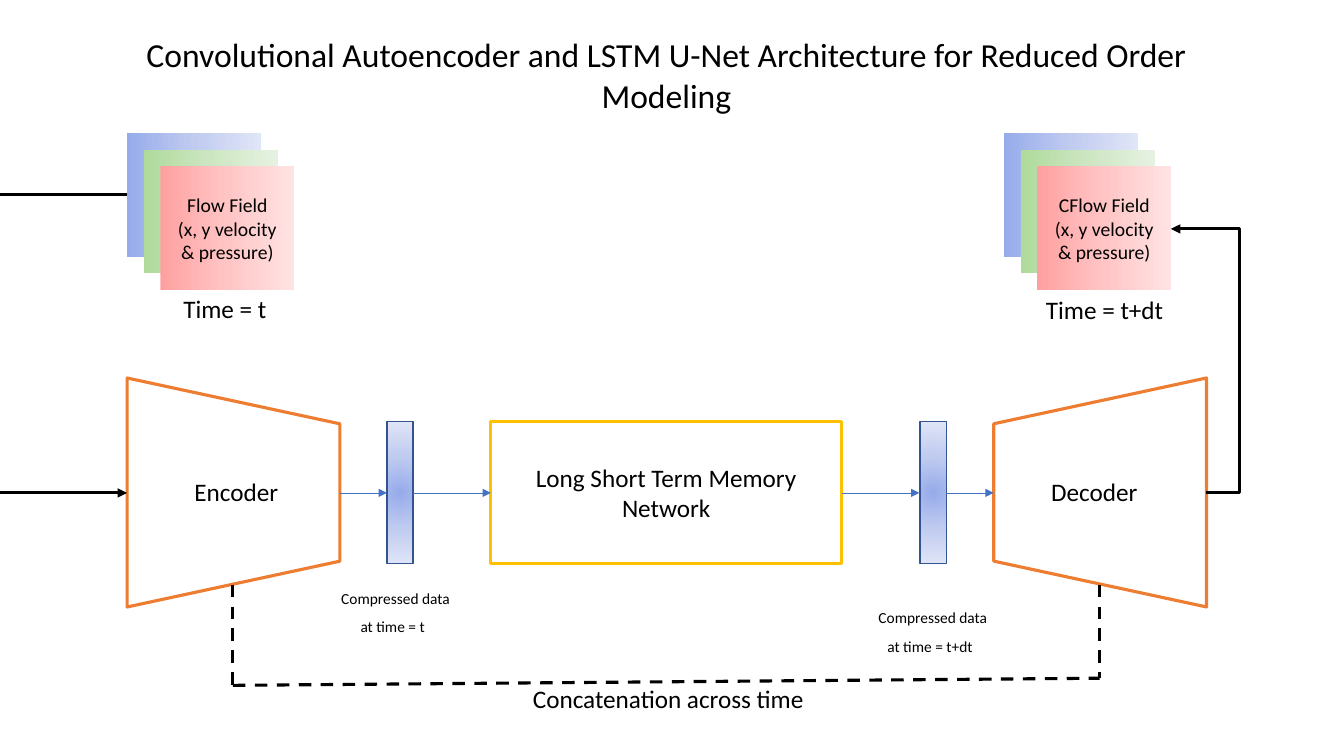
from lxml import etree
from pptx import Presentation, util as u
from pptx.dml.color import RGBColor
from pptx.enum import dml, shapes, text
from pptx.oxml import parse_xml
from pptx.oxml.ns import nsdecls, qn

COLORS = {"black": "000000", "white": "FFFFFF", "orange": "ED7D31",
          "gold": "FFC000", "blue": "4472C4", "navy": "325491"}
GRADIENTS = {"blue": ("96ABEA", "C0CBF0", "E0E5F7"),
             "green": ("AEDA9B", "CDE6C2", "E6F2E1"),
             "red": ("FFA0A0", "FFC5C5", "FFE3E3")}
FONT = "Calibri"
FLOW_Y = 12.42
MIDDLE = text.MSO_ANCHOR.MIDDLE


def rgb(name):
    return RGBColor.from_string(COLORS[name])


def put_text(sp, paragraphs, size=18, align=text.PP_ALIGN.CENTER,
             anchor=text.MSO_ANCHOR.TOP, end_size=None):
    """Fill a shape with text; end_size sets the height of the last line by a closing space."""
    tf = sp.text_frame
    tf.word_wrap = True
    tf.vertical_anchor = anchor
    for i, content in enumerate(paragraphs):
        p = tf.paragraphs[0] if i == 0 else tf.add_paragraph()
        p.alignment = align
        runs = [(content, size)]
        if end_size:
            runs.append((" ", end_size))
        for run_text, run_size in runs:
            r = p.add_run()
            r.text = run_text
            r.font.name = FONT
            r.font.size = u.Pt(run_size)
            r.font.color.rgb = rgb("black")


def add_label(slide, x, y, w, h, content, **fmt):
    sp = slide.shapes.add_textbox(u.Cm(x), u.Cm(y), u.Cm(w), u.Cm(h))
    put_text(sp, [content], **fmt)


def add_box(slide, x, y, w, h, kind=shapes.MSO_SHAPE.RECTANGLE, line=None, weight=2.25):
    sp = slide.shapes.add_shape(kind, u.Cm(x), u.Cm(y), u.Cm(w), u.Cm(h))
    sp.shadow.inherit = False
    sp.fill.solid()
    sp.fill.fore_color.rgb = rgb("white")
    if line:
        sp.line.color.rgb = rgb(line)
        sp.line.width = u.Pt(weight)
    else:
        sp.line.fill.background()
    return sp


def set_gradient(sp, name, radial=False):
    stops = "".join(f'<a:gs pos="{pos}"><a:srgbClr val="{color}"/></a:gs>'
                    for pos, color in zip((0, 50000, 100000), GRADIENTS[name]))
    if radial:
        direction = ('<a:path path="circle"><a:fillToRect l="50000" t="50000" '
                     'r="50000" b="50000"/></a:path>')
    else:
        direction = '<a:lin ang="0" scaled="1"/>'
    grad = parse_xml(f'<a:gradFill {nsdecls("a")} rotWithShape="1">'
                     f'<a:gsLst>{stops}</a:gsLst>{direction}</a:gradFill>')
    solid = sp._element.spPr.find(qn("a:solidFill"))
    solid.getparent().replace(solid, grad)


def add_line(slide, x1, y1, x2, y2, color="black", weight=2.25, arrow=False,
             dashed=False, bend=None):
    """Join two points; bend places the elbow as a share of the horizontal run."""
    kind = shapes.MSO_CONNECTOR.STRAIGHT if bend is None else shapes.MSO_CONNECTOR.ELBOW
    line = slide.shapes.add_connector(kind, u.Cm(x1), u.Cm(y1), u.Cm(x2), u.Cm(y2))
    line.line.color.rgb = rgb(color)
    line.line.width = u.Pt(weight)
    if dashed:
        line.line.dash_style = dml.MSO_LINE.DASH
    props = line._element.spPr
    if arrow:
        etree.SubElement(props.find(qn("a:ln")), qn("a:tailEnd"), type="triangle")
    if bend is not None:
        guides = props.find(qn("a:prstGeom")).find(qn("a:avLst"))
        etree.SubElement(guides, qn("a:gd"), name="adj1", fmla=f"val {round(bend * 100000)}")
    etree.SubElement(props, qn("a:effectLst"))


def add_flow_field(slide, x, title):
    step = 0.42
    for i, name in enumerate(("blue", "green", "red")):
        sheet = add_box(slide, x + i * step, 3.35 + i * step, 3.38, 3.12)
        set_gradient(sheet, name)
    put_text(sheet, [title, "(x, y velocity & pressure)"], size=14, anchor=MIDDLE)


def add_coder(slide, x, rotation, label_x, label):
    sp = add_box(slide, x, 9.73, 5.77, 5.36,
                 kind=shapes.MSO_SHAPE.FLOWCHART_MANUAL_OPERATION, line="orange")
    sp.rotation = rotation
    add_label(slide, label_x, 11.89, 2.97, 1.02, label, align=text.PP_ALIGN.LEFT)


def add_compressed(slide, x, label_x, label_y, label):
    bar = add_box(slide, x, 10.62, 0.66, 3.58, line="navy", weight=1)
    set_gradient(bar, "blue", radial=True)
    add_label(slide, label_x, label_y, 3.48, 1.5, label, size=11, end_size=18)


def main():
    prs = Presentation()
    prs.slide_width, prs.slide_height = u.Cm(33.87), u.Cm(19.05)
    slide = prs.slides.add_slide(prs.slide_layouts[6])

    add_label(slide, 3.28, 0.74, 27.03, 2.31,
              "Convolutional Autoencoder and LSTM U-Net Architecture "
              "for Reduced Order Modeling", size=24)

    lstm = add_box(slide, 12.37, 10.62, 8.84, 3.58, line="gold")
    put_text(lstm, ["Long Short Term Memory Network"], anchor=MIDDLE)
    add_coder(slide, 3, 270, 4.65, "Encoder")
    add_coder(slide, 24.84, 90, 26.24, "Decoder")

    add_flow_field(slide, 3.2, "Flow Field")
    add_flow_field(slide, 25.3, "CFlow Field")
    add_label(slide, 4.37, 7.26, 2.74, 1.02, "Time = t", align=text.PP_ALIGN.LEFT)
    add_label(slide, 26.11, 7.29, 3.78, 1.02, "Time = t+dt", align=text.PP_ALIGN.LEFT)

    add_compressed(slide, 9.75, 8.23, 14.71, "Compressed data at time = t")
    add_compressed(slide, 23.19, 21.77, 15.21, "Compressed data at time = t+dt")

    add_line(slide, 3.2, 4.9, 0, 4.9)
    add_line(slide, 0, FLOW_Y, 3.2, FLOW_Y, arrow=True)
    add_line(slide, 30.4, FLOW_Y, 29.51, 5.77, arrow=True, bend=-0.94)
    for start, end in ((8.56, 9.75), (10.41, 12.37), (21.21, 23.17), (23.85, 25.04)):
        add_line(slide, start, FLOW_Y, end, FLOW_Y, color="blue", weight=0.5, arrow=True)

    for x1, y1, x2, y2 in ((5.87, 14.73, 5.87, 17.37), (27.71, 14.73, 27.71, 17.09),
                           (5.87, 17.27, 27.71, 17.09)):
        add_line(slide, x1, y1, x2, y2, dashed=True)
    add_label(slide, 13.18, 17.09, 7.52, 1.02, "Concatenation across time",
              align=text.PP_ALIGN.LEFT)

    prs.save("out.pptx")


if __name__ == "__main__":
    main()
